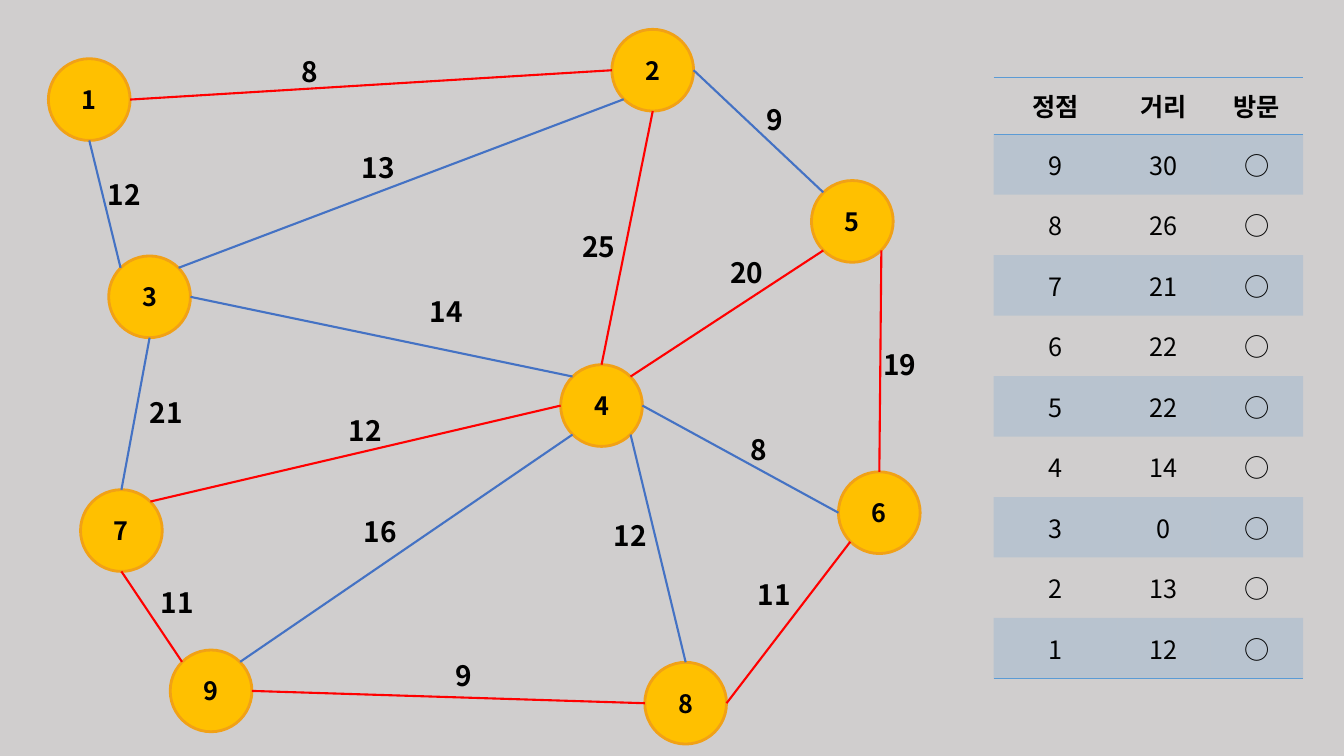
import pptx
import pptx.util
import pptx.dml.color
import pptx.enum.dml
import pptx.enum.shapes
import pptx.enum.text
import pptx.oxml.ns
from dataclasses import dataclass
from lxml import etree

Cm = pptx.util.Cm
Pt = pptx.util.Pt
qn = pptx.oxml.ns.qn


@dataclass(frozen=True)
class Theme:
    font: str = "Noto Sans CJK KR"
    background: str = "D0CECE"
    ink: str = "000000"
    vertex: str = "FFC000"
    vertex_rim: str = "F1A116"
    edge: str = "4472C4"
    chosen_edge: str = "FF0000"
    accent: str = "5B9BD5"
    band_alpha: int = 20
    body_size: int = 18
    weight_size: int = 20
    rim_width: float = 2
    edge_width: float = 1.5
    rule_width: float = 1


@dataclass(frozen=True)
class Box:
    left: float
    top: float
    width: float
    height: float


THEME = Theme()
DIAMETER = 2.06
HEADER_HEIGHT = 1.42
NO_GRID_STYLE = "{2D5ABB26-0587-4C30-8999-92F81FD0307C}"
COMPASS = {
    "N": (0, -1), "NW": (-0.71, -0.71), "W": (-1, 0), "SW": (-0.71, 0.71),
    "S": (0, 1), "SE": (0.71, 0.71), "E": (1, 0), "NE": (0.71, -0.71),
}
SITES = list(COMPASS)

CENTRES = {
    1: (2.25, 2.51), 2: (16.45, 1.77), 3: (3.77, 7.48),
    4: (15.16, 10.22), 5: (21.48, 5.58), 6: (22.16, 12.92),
    7: (3.06, 13.37), 8: (17.28, 17.72), 9: (5.32, 17.41),
}
EDGES = [
    (1, "E", 2, "W", True, "8", 7.8, 1.8),
    (1, "S", 3, "NW", False, "12", 3.14, 4.9),
    (8, "N", 4, "SE", False, "12", 15.89, 13.51),
    (2, "S", 4, "N", True, "25", 15.1, 6.22),
    (4, "SW", 9, "NE", False, "16", 9.59, 13.39),
    (7, "N", 3, "S", False, "21", 4.2, 10.39),
    (5, "NW", 2, "E", False, "9", 19.53, 3.02),
    (3, "E", 4, "NW", False, "14", 11.26, 7.85),
    (3, "NE", 2, "SW", False, "13", 9.54, 4.24),
    (7, "NE", 4, "W", True, "12", 9.21, 10.85),
    (4, "E", 6, "W", False, "8", 19.13, 11.33),
    (5, "SW", 4, "NE", True, "20", 18.83, 6.88),
    (5, "SE", 6, "N", True, "19", 22.69, 9.19),
    (8, "E", 6, "SW", True, "11", 19.52, 14.99),
    (7, "S", 9, "NW", True, "11", 4.48, 15.19),
    (9, "E", 8, "W", True, "9", 11.68, 17.02),
]
HEADINGS = ("정점", "거리", "방문")
DISTANCES = {9: 30, 8: 26, 7: 21, 6: 22, 5: 22, 4: 14, 3: 0, 2: 13, 1: 12}


def rgb(value):
    return pptx.dml.color.RGBColor.from_string(value)


def write(frame, words, size, bold=True, centred=True):
    frame.text = words
    paragraph = frame.paragraphs[0]
    if centred:
        paragraph.alignment = pptx.enum.text.PP_ALIGN.CENTER
    for run in paragraph.runs:
        run.font.size = Pt(size)
        run.font.bold = bold
        run.font.name = THEME.font
        run.font.color.rgb = rgb(THEME.ink)
        etree.SubElement(run._r.get_or_add_rPr(), qn("a:ea"), typeface=THEME.font)


def add_vertex(slide, box, number):
    x, y = CENTRES[number]
    vertex = slide.shapes.add_shape(
        pptx.enum.shapes.MSO_SHAPE.OVAL,
        Cm(box.left + x - DIAMETER / 2), Cm(box.top + y - DIAMETER / 2),
        Cm(DIAMETER), Cm(DIAMETER))
    vertex.shadow.inherit = False
    vertex.fill.solid()
    vertex.fill.fore_color.rgb = rgb(THEME.vertex)
    vertex.line.color.rgb = rgb(THEME.vertex_rim)
    vertex.line.width = Pt(THEME.rim_width)
    vertex.text_frame.vertical_anchor = pptx.enum.text.MSO_ANCHOR.MIDDLE
    write(vertex.text_frame, str(number), THEME.body_size)
    return vertex


def site_point(box, number, site):
    x, y = CENTRES[number]
    dx, dy = COMPASS[site]
    return (Cm(box.left + x + dx * DIAMETER / 2),
            Cm(box.top + y + dy * DIAMETER / 2))


def add_edge(slide, box, vertices, start, start_site, end, end_site, chosen):
    edge = slide.shapes.add_connector(
        pptx.enum.shapes.MSO_CONNECTOR.STRAIGHT,
        *site_point(box, start, start_site), *site_point(box, end, end_site))
    edge.line.color.rgb = rgb(THEME.chosen_edge if chosen else THEME.edge)
    edge.line.width = Pt(THEME.edge_width)
    etree.SubElement(edge._element.spPr, qn("a:effectLst"))
    joints = edge._element.find(".//" + qn("p:cNvCxnSpPr"))
    for tag, number, site in (("a:stCxn", start, start_site), ("a:endCxn", end, end_site)):
        etree.SubElement(joints, qn(tag), id=str(vertices[number].shape_id),
                         idx=str(SITES.index(site)))


def add_weight(slide, box, words, x, y):
    width, height = (0.91 if len(words) == 1 else 1.35), 1.12
    weight = slide.shapes.add_textbox(
        Cm(box.left + x - width / 2), Cm(box.top + y - height / 2),
        Cm(width), Cm(height))
    weight.text_frame.word_wrap = False
    weight.text_frame.auto_size = pptx.enum.text.MSO_AUTO_SIZE.SHAPE_TO_FIT_TEXT
    write(weight.text_frame, words, THEME.weight_size, centred=False)


def draw_graph(slide, box):
    vertices = {number: add_vertex(slide, box, number) for number in CENTRES}
    for start, start_site, end, end_site, chosen, words, x, y in EDGES:
        add_edge(slide, box, vertices, start, start_site, end, end_site, chosen)
        add_weight(slide, box, words, x, y)


def rule_cell(cell, sides):
    properties = cell._tc.get_or_add_tcPr()
    for position, side in enumerate(sides):
        rule = etree.Element(qn(f"a:ln{side}"), w=str(Pt(THEME.rule_width)))
        fill = etree.SubElement(rule, qn("a:solidFill"))
        etree.SubElement(fill, qn("a:srgbClr"), val=THEME.accent)
        properties.insert(position, rule)


def fill_cell(cell, banded):
    if not banded:
        cell.fill.background()
        return
    cell.fill.solid()
    cell.fill.fore_color.rgb = rgb(THEME.accent)
    colour = cell._tc.tcPr.find(".//" + qn("a:srgbClr"))
    etree.SubElement(colour, qn("a:alpha"), val=str(THEME.band_alpha * 1000))


def draw_distances(slide, box):
    rows = [HEADINGS] + [(str(v), str(d), "○") for v, d in DISTANCES.items()]
    last = len(rows) - 1
    distances = slide.shapes.add_table(
        len(rows), len(HEADINGS), Cm(box.left), Cm(box.top),
        Cm(box.width), Cm(box.height)).table
    distances._tbl.tblPr.find(qn("a:tableStyleId")).text = NO_GRID_STYLE
    for column, share in zip(distances.columns, (0.4, 0.3, 0.3)):
        column.width = Cm(box.width * share)
    for r, words in enumerate(rows):
        distances.rows[r].height = Cm(
            (box.height - HEADER_HEIGHT) / last if r else HEADER_HEIGHT)
        for c, word in enumerate(words):
            cell = distances.cell(r, c)
            cell.vertical_anchor = pptx.enum.text.MSO_ANCHOR.MIDDLE
            write(cell.text_frame, word, THEME.body_size, bold=r == 0)
            fill_cell(cell, r % 2 == 1)
            rule_cell(cell, {0: "TB", last: "B"}.get(r, ""))


def main():
    deck = pptx.Presentation()
    deck.slide_width, deck.slide_height = Cm(33.87), Cm(19.05)
    slide = deck.slides.add_slide(deck.slide_layouts[6])
    slide.background.fill.solid()
    slide.background.fill.fore_color.rgb = rgb(THEME.background)
    draw_distances(slide, Box(25.04, 1.96, 7.8, 15.14))
    draw_graph(slide, Box(0, 0, 24, 19.05))
    deck.save("out.pptx")


if __name__ == "__main__":
    main()
